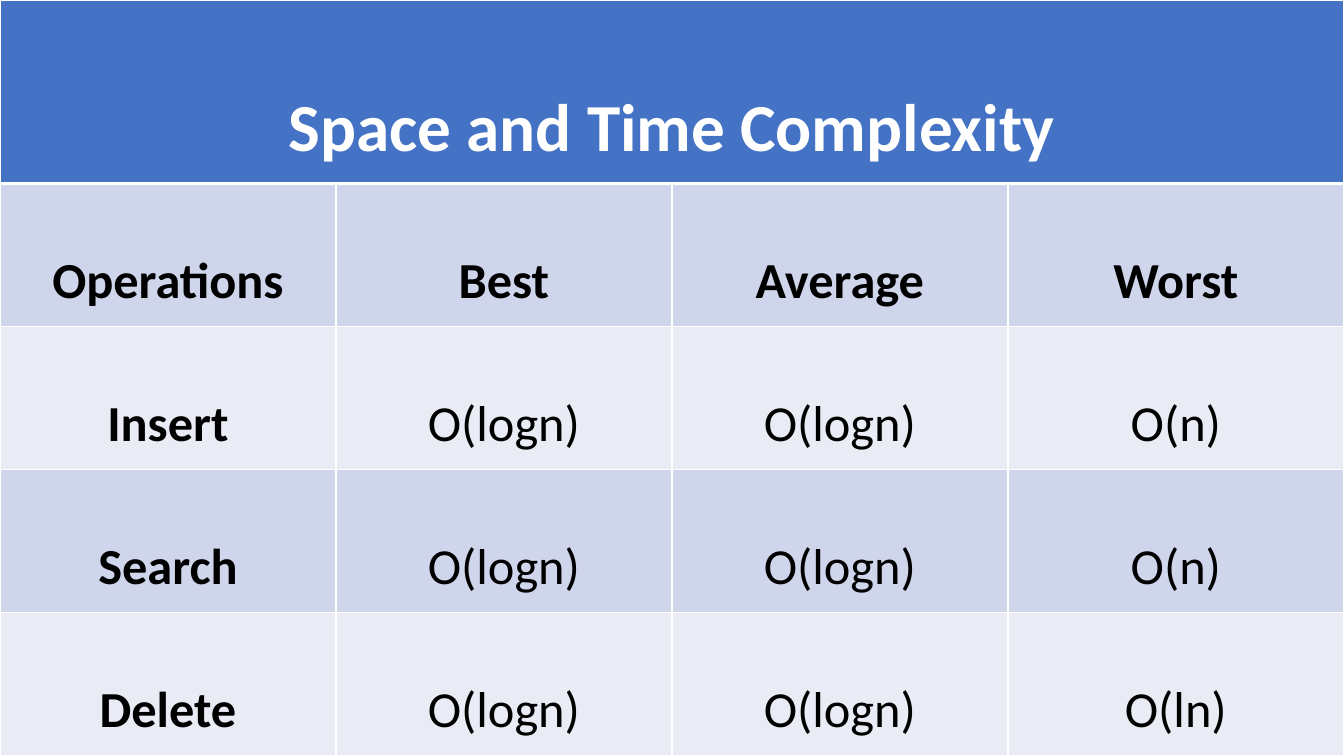
"""Build a slide with a table of space and time complexities."""
from dataclasses import dataclass

from lxml import etree
from pptx import Presentation
from pptx.dml.color import RGBColor
from pptx.enum.text import MSO_ANCHOR, PP_ALIGN
from pptx.oxml.ns import qn
from pptx.table import _Cell
from pptx.util import Pt

CENTER = PP_ALIGN.CENTER
TOP = MSO_ANCHOR.TOP


@dataclass(frozen=True)
class Theme:
    font: str = "Calibri"
    white: str = "FFFFFF"
    black: str = "000000"
    header: str = "4472C4"
    bands: tuple[str, str] = ("CFD5EA", "E9EBF5")
    title_size: float = 48
    body_size: float = 36
    thin: float = 1
    thick: float = 3


@dataclass(frozen=True)
class CellStyle:
    fill: str
    color: str
    size: float
    bold: bool
    top: float
    bottom: float


THEME = Theme()
WIDTH, HEIGHT = 960, 540
HEADER_HEIGHT = 131
TITLE = "Space and Time Complexity"
ROWS = (
    ("Operations", "Best", "Average", "Worst"),
    ("Insert", "O(logn)", "O(logn)", "O(n)"),
    ("Search", "O(logn)", "O(logn)", "O(n)"),
    ("Delete", "O(logn)", "O(logn)", "O(ln)"),
)


def add_border(cell: _Cell, side: str, width: float) -> None:
    tc_pr = cell._tc.get_or_add_tcPr()
    ln = etree.SubElement(tc_pr, qn(f"a:ln{side}"), w=str(int(Pt(width))))
    fill = etree.SubElement(ln, qn("a:solidFill"))
    etree.SubElement(fill, qn("a:srgbClr"), val=THEME.white)


def format_cell(cell: _Cell, style: CellStyle) -> None:
    borders = {"L": THEME.thin, "R": THEME.thin, "T": style.top, "B": style.bottom}
    for side, width in borders.items():
        add_border(cell, side, width)
    cell.fill.solid()
    cell.fill.fore_color.rgb = RGBColor.from_string(style.fill)
    cell.vertical_anchor = TOP


def write_cell(cell: _Cell, text: str, style: CellStyle) -> None:
    p = cell.text_frame.paragraphs[0]
    for name, value in {"alignment": CENTER, "line_spacing": 2.0}.items():
        setattr(p, name, value)
    r = p.add_run()
    r.text = text
    font = {"name": THEME.font, "size": Pt(style.size), "bold": style.bold}
    for name, value in font.items():
        setattr(r.font, name, value)
    r.font.color.rgb = RGBColor.from_string(style.color)


def body_style(row: int, col: int) -> CellStyle:
    return CellStyle(
        fill=THEME.bands[row % 2],
        color=THEME.black,
        size=THEME.body_size,
        bold=row == 0 or col == 0,
        top=THEME.thick if row == 0 else THEME.thin,
        bottom=THEME.thin,
    )


def main() -> None:
    prs = Presentation()
    prs.slide_width, prs.slide_height = Pt(WIDTH), Pt(HEIGHT)
    s = prs.slides.add_slide(prs.slide_layouts[6])
    columns = len(ROWS[0])
    table = s.shapes.add_table(
        len(ROWS) + 1, columns, Pt(0), Pt(0), Pt(WIDTH), Pt(HEIGHT)
    ).table
    for column in table.columns:
        column.width = Pt(WIDTH / columns)
    for i, row in enumerate(table.rows):
        body_height = (HEIGHT - HEADER_HEIGHT) / len(ROWS)
        row.height = Pt(body_height if i else HEADER_HEIGHT)

    header = CellStyle(
        THEME.header, THEME.white, THEME.title_size, True, THEME.thin, THEME.thick
    )
    for col in range(columns):
        format_cell(table.cell(0, col), header)
    table.cell(0, 0).merge(table.cell(0, columns - 1))
    write_cell(table.cell(0, 0), TITLE, header)

    for row, texts in enumerate(ROWS):
        for col, text in enumerate(texts):
            cell, style = table.cell(row + 1, col), body_style(row, col)
            format_cell(cell, style)
            write_cell(cell, text, style)
    prs.save("out.pptx")


if __name__ == "__main__":
    main()
